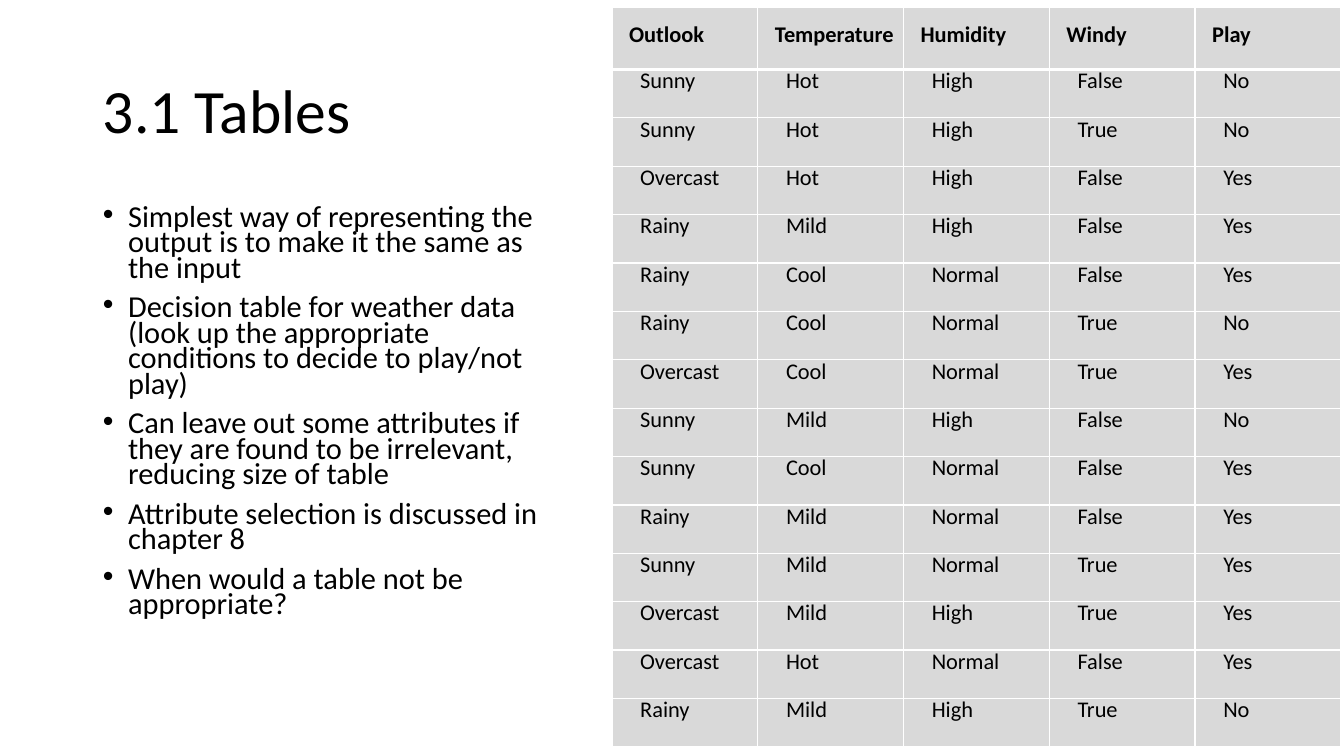
from dataclasses import dataclass

from lxml import etree
from pptx import Presentation
from pptx.dml.color import RGBColor
from pptx.enum.text import MSO_ANCHOR, MSO_AUTO_SIZE, PP_ALIGN
from pptx.oxml.ns import qn
from pptx.util import Inches, Pt

LEFT = PP_ALIGN.LEFT
TOP, MIDDLE = MSO_ANCHOR.TOP, MSO_ANCHOR.MIDDLE
NO_FIT = MSO_AUTO_SIZE.NONE

POINTS = [
    "Simplest way of representing the output is to make it the same as the input",
    "Decision table for weather data (look up the appropriate conditions to decide to play/not play)",
    "Can leave out some attributes if they are found to be irrelevant, reducing size of table",
    "Attribute selection is discussed in chapter 8",
    "When would a table not be appropriate?",
]
WEATHER = [
    ("Outlook", "Temperature", "Humidity", "Windy", "Play"),
    ("Sunny", "Hot", "High", "False", "No"),
    ("Sunny", "Hot", "High", "True", "No"),
    ("Overcast", "Hot", "High", "False", "Yes"),
    ("Rainy", "Mild", "High", "False", "Yes"),
    ("Rainy", "Cool", "Normal", "False", "Yes"),
    ("Rainy", "Cool", "Normal", "True", "No"),
    ("Overcast", "Cool", "Normal", "True", "Yes"),
    ("Sunny", "Mild", "High", "False", "No"),
    ("Sunny", "Cool", "Normal", "False", "Yes"),
    ("Rainy", "Mild", "Normal", "False", "Yes"),
    ("Sunny", "Mild", "Normal", "True", "Yes"),
    ("Overcast", "Mild", "High", "True", "Yes"),
    ("Overcast", "Hot", "Normal", "False", "Yes"),
    ("Rainy", "Mild", "High", "True", "No"),
]


@dataclass(frozen=True)
class Theme:
    font: str = "Calibri"
    ink: str = "000000"
    cell: str = "D9D9D9"
    rule: str = "FFFFFF"
    title: float = 44
    body: float = 21.7
    table: float = 16


def indent(para, left, first):
    props = para._p.get_or_add_pPr()
    props.set("marL", str(Inches(left)))
    props.set("indent", str(Inches(first)))


class Page:
    def __init__(self, slide, theme):
        self.slide = slide
        self.theme = theme

    def style(self, para, size, spacing, bold=False):
        para.alignment = LEFT
        para.line_spacing = spacing
        for run in para.runs:
            font = run.font
            font.name = self.theme.font
            font.size = Pt(size)
            font.bold = bold
            font.color.rgb = RGBColor.from_string(self.theme.ink)

    def place(self, holder, box, anchor):
        holder.left, holder.top, holder.width, holder.height = map(Inches, box)
        frame = holder.text_frame
        frame.word_wrap = True
        frame.auto_size = NO_FIT
        frame.vertical_anchor = anchor
        return frame

    def title(self, text, box):
        frame = self.place(self.slide.shapes.title, box, MIDDLE)
        frame.text = text
        self.style(frame.paragraphs[0], self.theme.title, 0.9)

    def bullets(self, items, box):
        frame = self.place(self.slide.placeholders[1], box, TOP)
        frame.text = "\n".join(items)
        for para in frame.paragraphs:
            self.style(para, self.theme.body, 0.7)
            para.space_before = Pt(10)
            indent(para, 0.25, -0.25)

    def border(self, cell, side, width):
        props = cell._tc.get_or_add_tcPr()
        line = etree.SubElement(props, qn(f"a:ln{side}"), w=str(Pt(width)))
        fill = etree.SubElement(line, qn("a:solidFill"))
        etree.SubElement(fill, qn("a:srgbClr"), val=self.theme.rule)

    def cell(self, cell, text, head):
        pad = 0.07 if head else 0.04
        cell.margin_left = Inches(0.17 if head else 0.28)
        cell.margin_top = cell.margin_right = cell.margin_bottom = Inches(pad)
        cell.vertical_anchor = MIDDLE if head else TOP
        for side in "LRTB":
            self.border(cell, side, 3 if head and side == "B" else 1)
        cell.fill.solid()
        cell.fill.fore_color.rgb = RGBColor.from_string(self.theme.cell)
        cell.text_frame.text = text
        para = cell.text_frame.paragraphs[0]
        self.style(para, self.theme.table, Pt(15.2), head)
        indent(para, 0, -0.14 if head else -0.21)

    def table(self, rows, box, top_row, row):
        """Draw rows in equal columns, the first row as a taller header."""
        count = len(rows[0])
        grid = self.slide.shapes.add_table(len(rows), count, *map(Inches, box)).table
        for col in grid.columns:
            col.width = Inches(box[2] / count)
        for r, texts in enumerate(rows):
            grid.rows[r].height = Inches(row if r else top_row)
            for c, text in enumerate(texts):
                self.cell(grid.cell(r, c), text, r == 0)


def main():
    deck = Presentation()
    deck.slide_width, deck.slide_height = Inches(13.33), Inches(7.5)
    page = Page(deck.slides.add_slide(deck.slide_layouts[1]), Theme())
    page.title("3.1 Tables", (0.92, 0.4, 11.5, 1.45))
    page.bullets(POINTS, (0.92, 2, 4.63, 4.76))
    page.table(WEATHER, (6.07, 0.07, 7.23, 7.34), 0.62, 0.48)
    deck.save("out.pptx")


if __name__ == "__main__":
    main()
